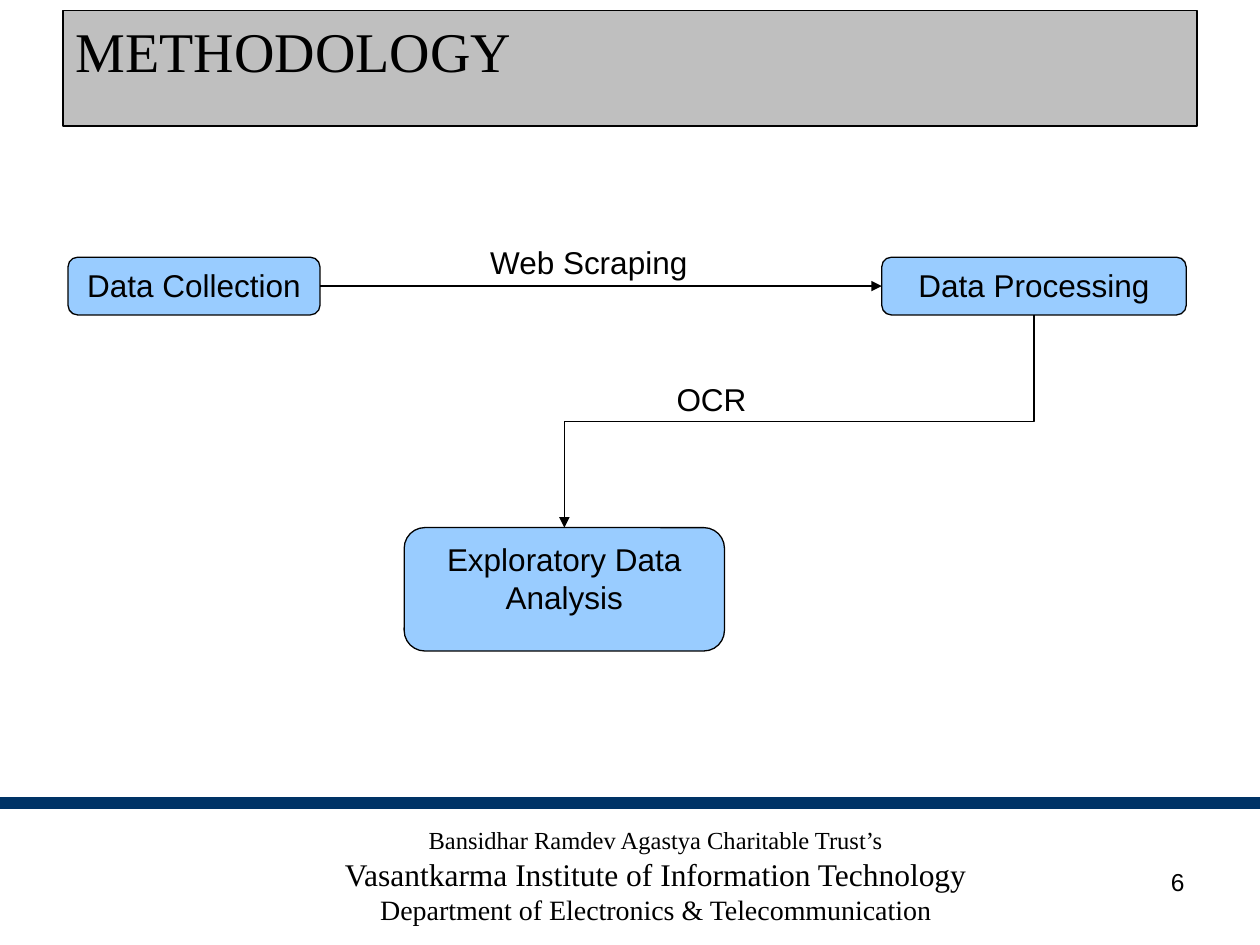
from lxml import etree
from pptx import Presentation
from pptx.dml.color import RGBColor
from pptx.enum import shapes, text
from pptx.oxml import ns
from pptx.util import Pt

COLORS = {"ink": "000000", "banner": "BFBFBF", "step": "99CCFF", "rule": "003366"}
SANS, SERIF = "Arial", "Times New Roman"
LEFT, CENTER, RIGHT = text.PP_ALIGN.LEFT, text.PP_ALIGN.CENTER, text.PP_ALIGN.RIGHT

HEADING = ("METHODOLOGY", (36, 6, 648, 66))
STEPS = [
    ("Data Collection", (38.9, 147, 144, 33)),
    ("Data Processing", (503.9, 147, 174, 33)),
    ("Exploratory Data Analysis", (231, 301.5, 183, 70.5)),
]
LABELS = [
    ("Web Scraping", (273, 135.4, 231, 29)),
    ("OCR", (379.5, 213.6, 231, 29)),
]
INSTITUTE = [
    ("Bansidhar Ramdev Agastya Charitable Trust’s", 14),
    ("Vasantkarma Institute of Information Technology", 18),
    ("Department of Electronics & Telecommunication", 16),
]
INSTITUTE_BOX = (72, 468, 605.5, 65.5)
RULE_BOX = (0, 456, 720, 6)
PAGE = ("6", (516, 492, 168, 37.5))


def color(name):
    return RGBColor.from_string(COLORS[name])


def points(box):
    return [Pt(value) for value in box]


def paint(shape, fill, line):
    shape.fill.solid()
    shape.fill.fore_color.rgb = color(fill)
    shape.line.color.rgb = color(line)
    shape.line.width = Pt(0.75)
    shape.shadow.inherit = False


def write(shape, lines, font, align):
    frame = shape.text_frame
    frame.word_wrap = True
    frame.auto_size = text.MSO_AUTO_SIZE.NONE
    frame.vertical_anchor = text.MSO_ANCHOR.TOP
    for index, (words, size) in enumerate(lines):
        paragraph = frame.add_paragraph() if index else frame.paragraphs[0]
        paragraph.text = words
        paragraph.alignment = align
        paragraph.font.name = font
        paragraph.font.size = Pt(size)
        paragraph.font.color.rgb = color("ink")


def add_text(slide, box, lines, font, align):
    write(slide.shapes.add_textbox(*points(box)), lines, font, align)


def add_block(slide, kind, box, fill, line):
    block = slide.shapes.add_shape(kind, *points(box))
    paint(block, fill, line)
    return block


def add_arrow(slide, kind, start, end):
    arrow = slide.shapes.add_connector(kind, *start, *end)
    arrow.line.color.rgb = color("ink")
    arrow.line.width = Pt(0.75)
    etree.SubElement(arrow.line._get_or_add_ln(), ns.qn("a:tailEnd"), type="triangle")
    etree.SubElement(arrow._element.spPr, ns.qn("a:effectLst"))
    return arrow


def add_drop_arrow(slide, source, target):
    x1, y1 = source.left + source.width // 2, source.top + source.height
    x2, y2 = target.left + target.width // 2, target.top
    mid_x, mid_y = (x1 + x2) // 2, (y1 + y2) // 2
    half_drop, half_run = (y2 - y1) // 2, (x1 - x2) // 2
    arrow = add_arrow(slide, shapes.MSO_CONNECTOR.ELBOW,
                      (mid_x - half_drop, mid_y - half_run),
                      (mid_x + half_drop, mid_y + half_run))
    arrow._element.spPr.find(ns.qn("a:xfrm")).set("rot", str(90 * 60000))


def main():
    deck = Presentation()
    deck.slide_width, deck.slide_height = Pt(720), Pt(540)
    slide = deck.slides.add_slide(deck.slide_layouts[5])

    heading, heading_box = HEADING
    title = slide.shapes.title
    title.left, title.top, title.width, title.height = points(heading_box)
    paint(title, "banner", "ink")
    write(title, [(heading, 32)], SERIF, LEFT)

    page, page_box = PAGE
    add_text(slide, page_box, [(page, 14)], SANS, RIGHT)
    add_text(slide, INSTITUTE_BOX, INSTITUTE, SERIF, CENTER)
    add_block(slide, shapes.MSO_SHAPE.RECTANGLE, RULE_BOX, "rule", "rule")

    steps = []
    for words, box in STEPS:
        step = add_block(slide, shapes.MSO_SHAPE.ROUNDED_RECTANGLE, box, "step", "ink")
        write(step, [(words, 18)], SANS, CENTER)
        steps.append(step)
    collection, processing, analysis = steps

    scraping = add_arrow(slide, shapes.MSO_CONNECTOR.STRAIGHT, (0, 0), (0, 0))
    scraping.begin_connect(collection, 3)
    scraping.end_connect(processing, 1)
    add_drop_arrow(slide, processing, analysis)

    for words, box in LABELS:
        add_text(slide, box, [(words, 18)], SANS, LEFT)

    deck.save("out.pptx")


if __name__ == "__main__":
    main()
